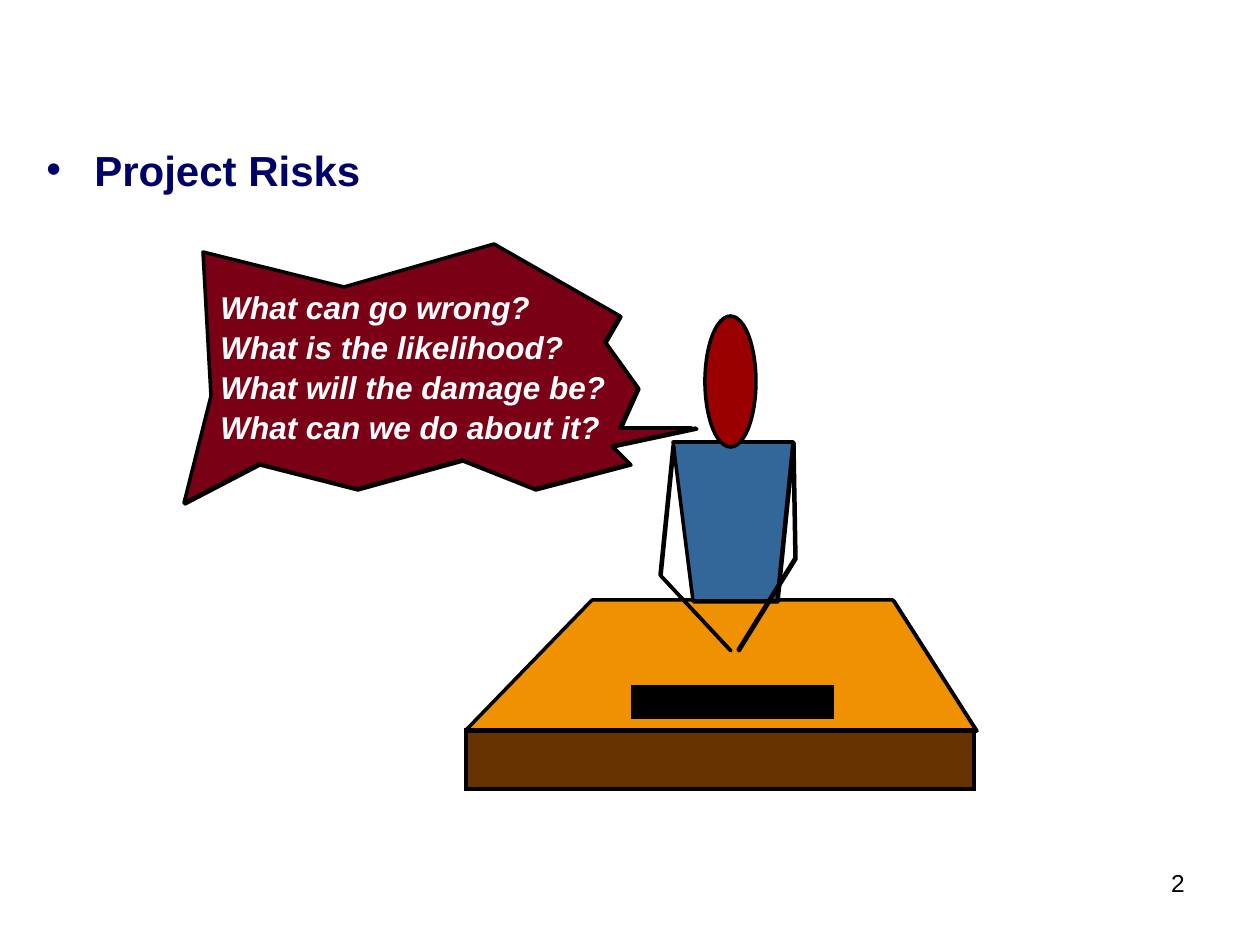
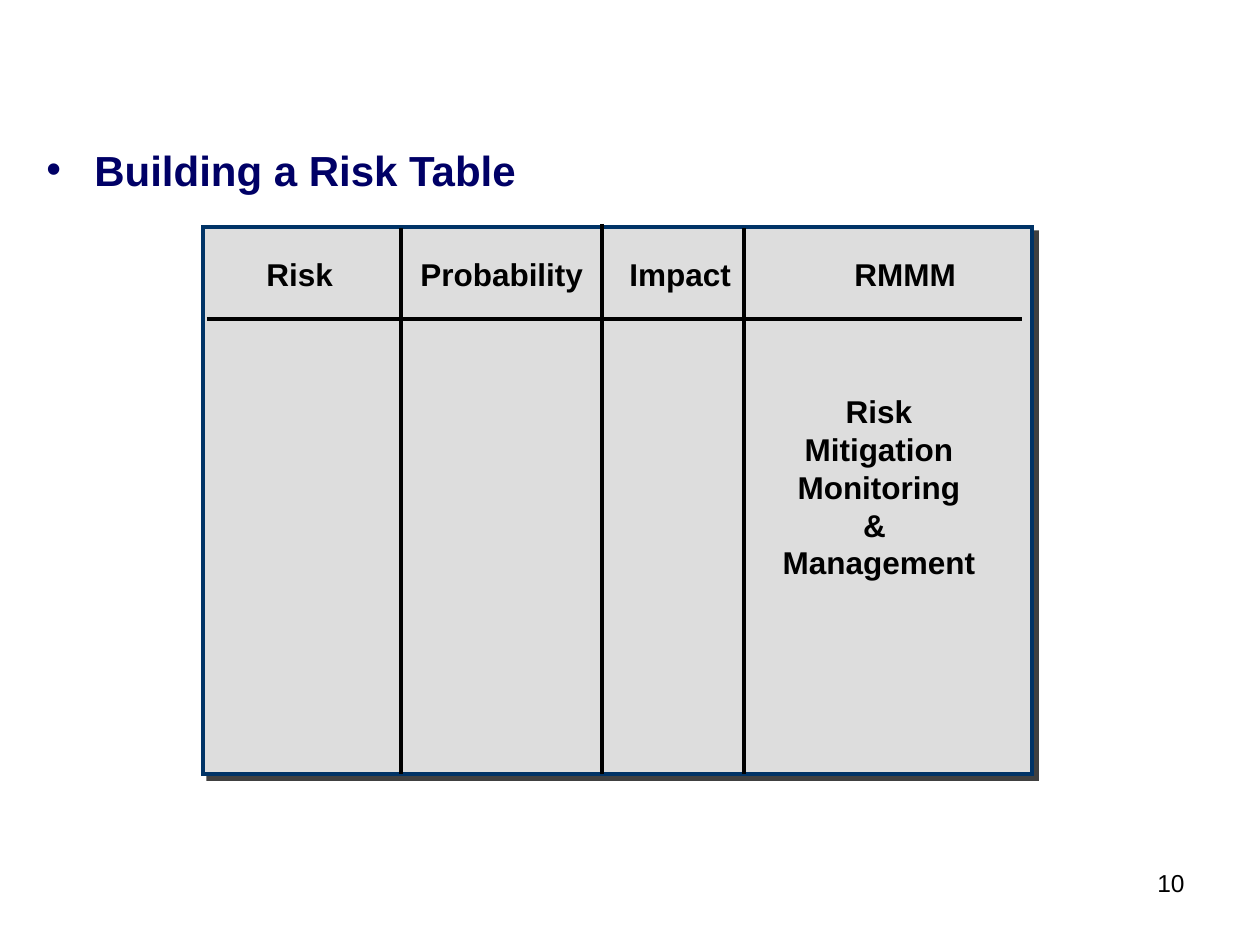
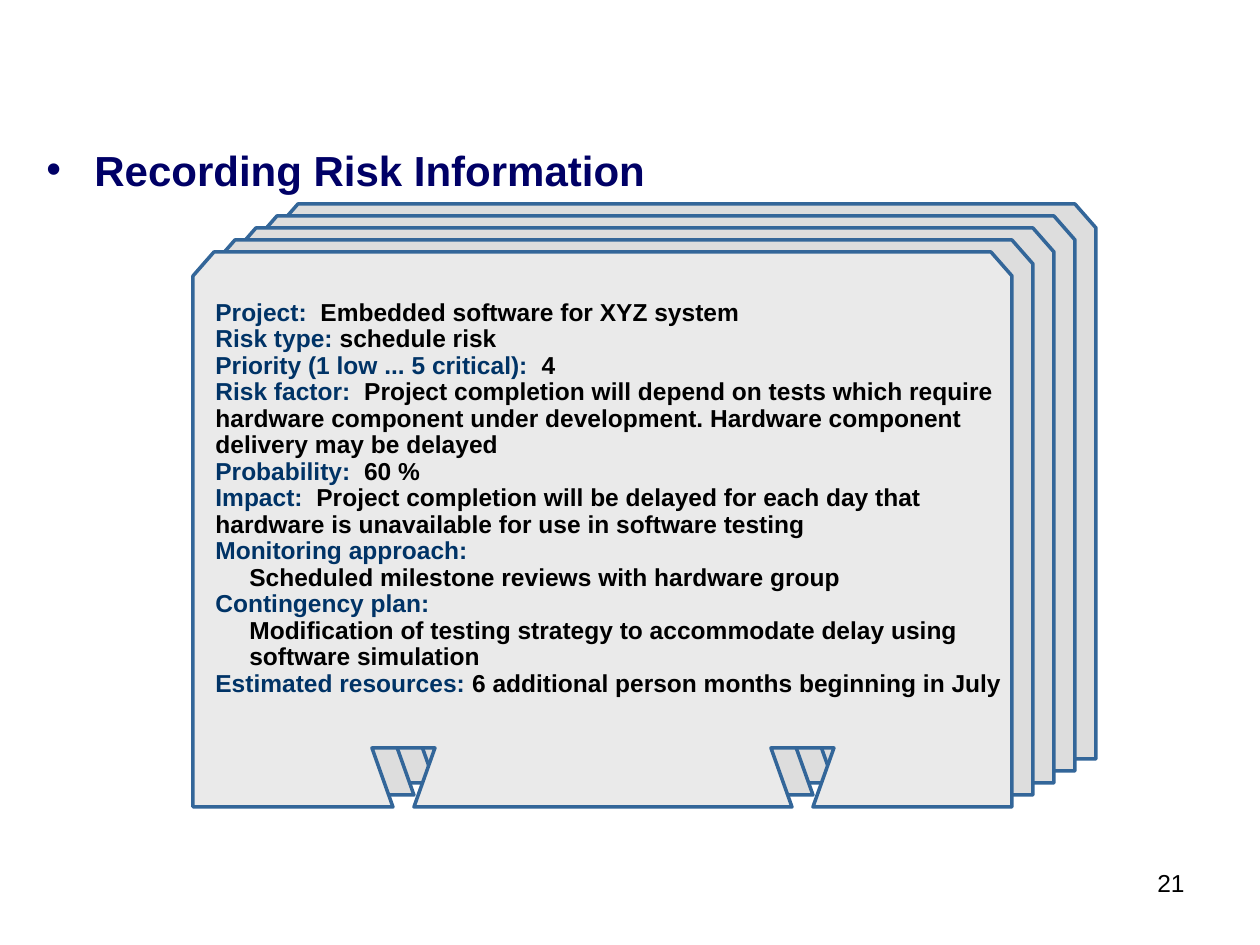
from lxml import etree
from pptx import Presentation
from pptx.dml.color import RGBColor
from pptx.enum.shapes import MSO_CONNECTOR, MSO_SHAPE
from pptx.enum.text import PP_ALIGN
from pptx.oxml.ns import qn
from pptx.util import Inches, Pt

RECTANGLE = MSO_SHAPE.RECTANGLE
OVAL = MSO_SHAPE.OVAL
STRAIGHT = MSO_CONNECTOR.STRAIGHT
LEFT, CENTER, RIGHT = PP_ALIGN.LEFT, PP_ALIGN.CENTER, PP_ALIGN.RIGHT

EMU_PER_PX = Inches(1) / 126
FONT = "Arial"
LINE_WIDTH = 2
COLORS = {
    "black": "000000",
    "white": "FFFFFF",
    "title": "000066",
    "navy": "003366",
    "blue": "336699",
    "bubble": "790015",
    "head": "9A0000",
    "desk top": "EF9100",
    "desk front": "663300",
    "panel": "DDDDDD",
    "front card": "EAEAEA",
}


def emu(px):
    return round(px * EMU_PER_PX)


def color(name):
    return RGBColor.from_string(COLORS[name])


def add_element(parent, tag, **attributes):
    element = etree.SubElement(parent, qn(tag))
    for name, value in attributes.items():
        element.set(name, str(value))
    return element


class Deck:
    def __init__(self):
        self.presentation = Presentation()
        self.presentation.slide_width = emu(1260)
        self.presentation.slide_height = emu(945)
        self.slide = None

    def start_slide(self, title, number):
        layout = self.presentation.slide_layouts[6]
        self.slide = self.presentation.slides.add_slide(layout)
        self.text(937, 862, 260, 66, [number], 14, align=RIGHT)
        heading = self.text(34, 138, 1134, 117, [title], 24, "title", bold=True)
        self.bullet(heading.text_frame.paragraphs[0], 48)

    def bullet(self, paragraph, indent):
        properties = paragraph._p.get_or_add_pPr()
        properties.set("marL", str(emu(indent)))
        properties.set("indent", str(-emu(indent)))
        bullet_color = add_element(properties, "a:buClr")
        add_element(bullet_color, "a:srgbClr", val=COLORS["title"])
        add_element(properties, "a:buFont", typeface=FONT)
        add_element(properties, "a:buChar", char="•")

    def style_run(self, run, size, color_name, bold, italic=False):
        run.font.name = FONT
        run.font.size = Pt(size)
        run.font.bold = bold
        run.font.italic = italic
        run.font.color.rgb = color(color_name)

    def text_box(self, left, top, width, height):
        box = self.slide.shapes.add_textbox(emu(left), emu(top), emu(width), emu(height))
        box.text_frame.word_wrap = True
        return box

    def text(self, left, top, width, height, lines, size, color_name="black",
             bold=False, italic=False, align=LEFT):
        box = self.text_box(left, top, width, height)
        box.text_frame.text = "\n".join(lines)
        for paragraph in box.text_frame.paragraphs:
            paragraph.alignment = align
            for run in paragraph.runs:
                self.style_run(run, size, color_name, bold, italic)
        return box

    def record(self, left, top, width, height, entries, size, indent):
        frame = self.text_box(left, top, width, height).text_frame
        for index, (label, value) in enumerate(entries):
            paragraph = frame.paragraphs[0] if index == 0 else frame.add_paragraph()
            paragraph.line_spacing = 0.9
            if not label:
                paragraph._p.get_or_add_pPr().set("marL", str(emu(indent)))
            for part, color_name in ((label, "navy"), (value, "black")):
                if part:
                    run = paragraph.add_run()
                    run.text = part
                    self.style_run(run, size, color_name, True)

    def paint(self, shape, fill, line):
        shape.shadow.inherit = False
        if fill:
            shape.fill.solid()
            shape.fill.fore_color.rgb = color(fill)
        else:
            shape.fill.background()
        shape.line.color.rgb = color(line)
        shape.line.width = Pt(LINE_WIDTH)

    def shape(self, kind, left, top, width, height, fill, line="black"):
        shape = self.slide.shapes.add_shape(
            kind, emu(left), emu(top), emu(width), emu(height))
        self.paint(shape, fill, line)
        add_element(shape.line._get_or_add_ln(), "a:miter", lim=800000)
        return shape

    def drop_shadow(self, shape):
        effects = shape._element.spPr.find(qn("a:effectLst"))
        shadow = add_element(effects, "a:outerShdw", dist=Pt(4.2), dir=45 * 60000,
                             algn="ctr", rotWithShape=0)
        shadow_color = add_element(shadow, "a:srgbClr", val=COLORS["black"])
        add_element(shadow_color, "a:alpha", val=75000)

    def freeform(self, points, fill=None, line="black", closed=True):
        builder = self.slide.shapes.build_freeform(*points[0], scale=EMU_PER_PX)
        builder.add_line_segments(points[1:], close=closed)
        shape = builder.convert_to_shape()
        self.paint(shape, fill, line)
        outline = shape.line._get_or_add_ln()
        outline.set("cap", "rnd")
        add_element(outline, "a:round")

    def heavy_freeform(self, points, fill=None, closed=True):
        self.freeform([(x + 1, y + 1) for x, y in points], closed=closed)
        self.freeform(points, fill, closed=closed)

    def line(self, x1, y1, x2, y2):
        connector = self.slide.shapes.add_connector(
            STRAIGHT, emu(x1), emu(y1), emu(x2), emu(y2))
        connector.line.color.rgb = color("black")
        connector.line.width = Pt(LINE_WIDTH)
        add_element(connector._element.spPr, "a:effectLst")


def build_project_risks(deck):
    deck.start_slide("Project Risks", "2")
    bubble = [
        (696, 428), (612, 446), (630, 464), (535, 489), (462, 460), (357, 489),
        (259, 464), (184, 503), (211, 396), (203, 252), (344, 287), (494, 244),
        (620, 316), (605, 342), (638, 388), (620, 428), (692, 428),
    ]
    deck.heavy_freeform(bubble, "bubble", closed=False)
    deck.shape(RECTANGLE, 466, 730, 508, 59, "desk front")
    desk_top = [(466, 730), (592, 600), (893, 600), (976, 730)]
    torso = [(693, 601), (673, 442), (793, 442), (777, 601)]
    left_arm = [(673, 446), (660, 575), (730, 650)]
    right_arm = [(793, 442), (795, 558), (738, 650)]
    deck.heavy_freeform(desk_top, "desk top")
    deck.heavy_freeform(torso, "blue")
    for arm in (left_arm, right_arm):
        deck.heavy_freeform(arm, closed=False)
    deck.shape(OVAL, 705, 316, 51, 131, "head")
    questions = [
        "What can go wrong?",
        "What is the likelihood?",
        "What will the damage be?",
        "What can we do about it?",
    ]
    for row, question in enumerate(questions):
        deck.text(208, 282 + 40 * row, 430, 50, [question], 18, "white",
                  bold=True, italic=True)
    deck.shape(RECTANGLE, 633, 687, 199, 30, "black")


def build_risk_table(deck):
    deck.start_slide("Building a Risk Table", "10")
    panel = deck.shape(RECTANGLE, 203, 227, 829, 547, "panel", "navy")
    deck.drop_shadow(panel)
    for x, top in ((401, 228), (602, 224), (744, 228)):
        deck.line(x, top, x, 774)
    deck.line(207, 319, 1022, 319)
    headings = {"Risk": 254, "Probability": 408, "Impact": 617, "RMMM": 842}
    for heading, left in headings.items():
        deck.text(left, 249, 190, 50, [heading], 18, bold=True)
    meaning = ["Risk", "Mitigation", "Monitoring", "& ", "Management"]
    deck.text(760, 386, 238, 202, meaning, 18, bold=True, align=CENTER)


def build_risk_information(deck):
    deck.start_slide("Recording Risk Information", "21")
    card = [
        (393, 807), (193, 807), (193, 276), (214, 252), (991, 252), (1012, 276),
        (1012, 807), (813, 807), (834, 748), (771, 748), (792, 807), (414, 807),
        (435, 748), (372, 748),
    ]
    for depth in range(4, -1, -1):
        points = [(x + 21 * depth, y - 12 * depth) for x, y in card]
        deck.freeform(points, "panel" if depth else "front card", "blue")
    entries = [
        ("Project:", "  Embedded software for XYZ system"),
        ("Risk type:", " schedule risk"),
        ("Priority (1 low ... 5 critical):", "  4"),
        ("Risk factor:", "  Project completion will depend on tests which require "
                         "hardware component under development. Hardware component "
                         "delivery may be delayed"),
        ("Probability:", "  60 %"),
        ("Impact: ", " Project completion will be delayed for each day that "
                     "hardware is unavailable for use in software testing"),
        ("Monitoring approach:", ""),
        ("", "Scheduled milestone reviews with hardware group"),
        ("Contingency plan:", ""),
        ("", "Modification of testing strategy to accommodate delay using "
             "software simulation"),
        ("Estimated resources:", " 6 additional person months beginning in July"),
    ]
    deck.record(203, 294, 826, 465, entries, 14, 34)


def main():
    deck = Deck()
    build_project_risks(deck)
    build_risk_table(deck)
    build_risk_information(deck)
    deck.presentation.save("out.pptx")


if __name__ == "__main__":
    main()
